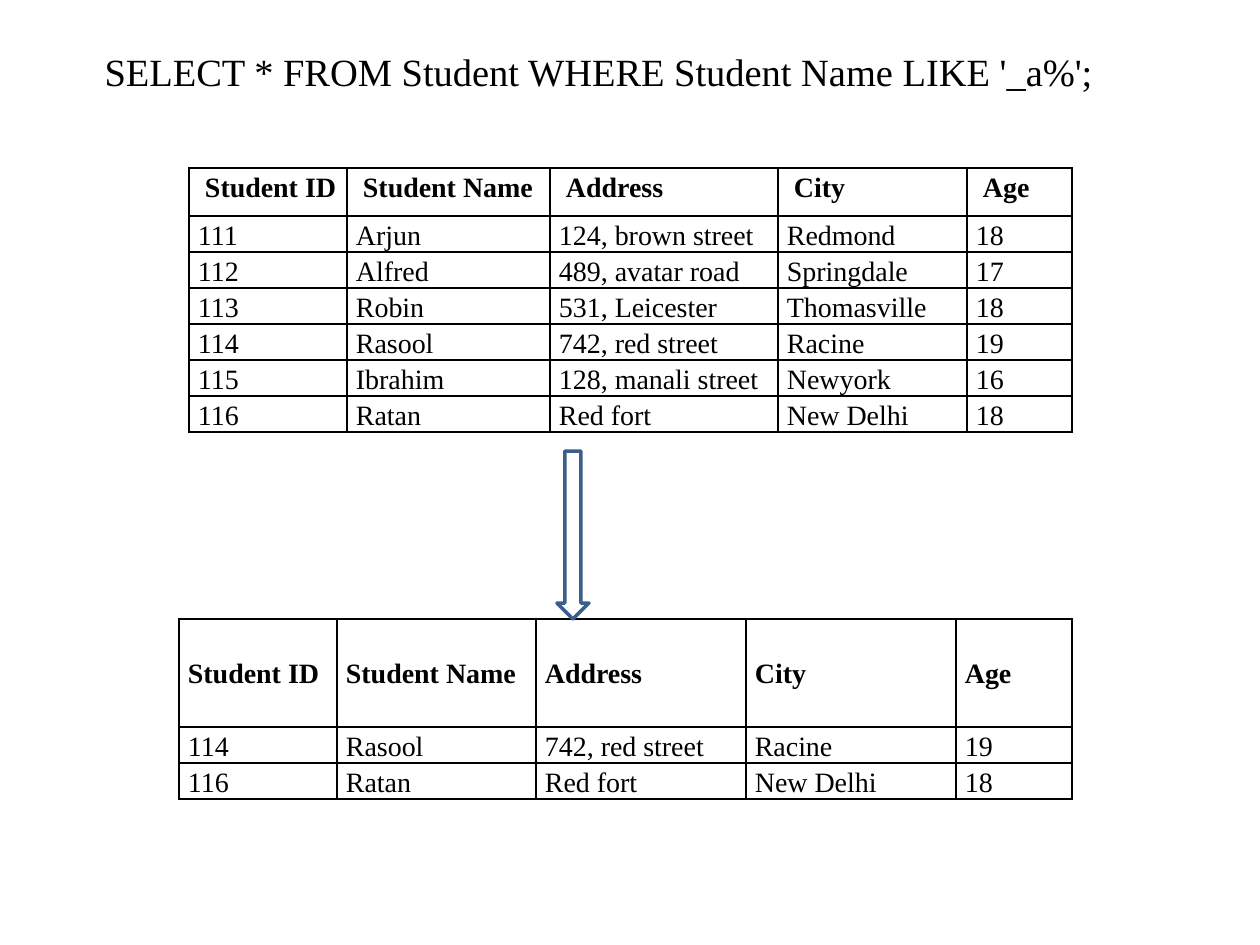
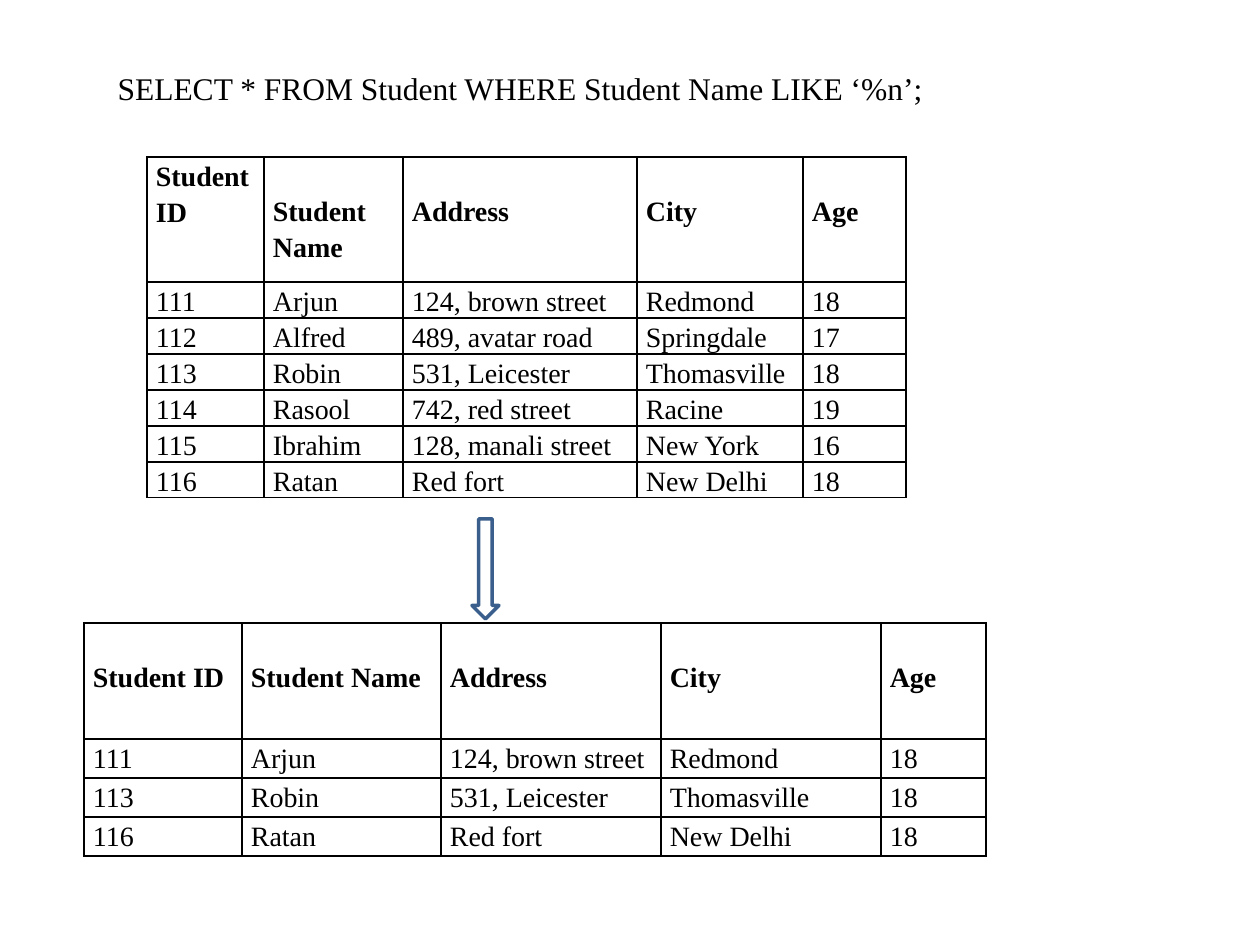
"""Builds two slides that show SQL LIKE queries with their source and result tables."""
from lxml.etree import SubElement
from pptx import Presentation
from pptx.dml.color import RGBColor
from pptx.enum.shapes import MSO_SHAPE
from pptx.enum.text import MSO_ANCHOR, PP_ALIGN
from pptx.oxml.ns import qn
from pptx.util import Emu, Pt

FONT = "Times New Roman"
BLACK = "000000"
ARROW_BLUE = "3A5F8C"
CELL_MARGIN = 9
HEADERS = ["Student ID", "Student Name", "Address", "City", "Age"]


def student_rows(city_of_ibrahim):
    return [
        ("111", "Arjun", "124, brown street", "Redmond", "18"),
        ("112", "Alfred", "489, avatar road", "Springdale", "17"),
        ("113", "Robin", "531, Leicester", "Thomasville", "18"),
        ("114", "Rasool", "742, red street", "Racine", "19"),
        ("115", "Ibrahim", "128, manali street", city_of_ibrahim, "16"),
        ("116", "Ratan", "Red fort", "New Delhi", "18"),
    ]


SLIDES = [
    {
        "query": "SELECT * FROM Student WHERE Student Name LIKE '_a%';",
        "query_box": (92, 42, 1060, 56),
        "query_size": 22,
        "students": student_rows("Newyork"),
        "matches": {"114", "116"},
        "source": {"corner": (189, 168), "columns": [158, 203, 228, 189, 105],
                   "header": 48, "row": 36, "indent": 7, "drops": [0] * 5},
        "result": {"corner": (179, 619), "columns": [158, 199, 210, 210, 116],
                   "header": 108, "row": 36, "indent": 0, "drops": [35] * 5},
        "arrow": (557, 451, 32, 168),
    },
    {
        "query": "SELECT * FROM Student WHERE Student Name LIKE ‘%n’;",
        "query_box": (105, 63, 903, 50),
        "query_size": 18,
        "students": student_rows("New York"),
        "matches": {"111", "113", "116"},
        "source": {"corner": (147, 157), "columns": [117, 139, 234, 166, 103],
                   "header": 125, "row": 36, "indent": 0, "drops": [0] + [35] * 4},
        "result": {"corner": (84, 623), "columns": [158, 199, 220, 220, 105],
                   "header": 116, "row": 39, "indent": 0, "drops": [35] * 5},
        "arrow": (472, 519, 27, 100),
    },
]


def px(length):
    return Emu(round(length * 914400 / 126))


def color(value):
    return RGBColor.from_string(value)


def add_span(para, text, size, bold=False):
    span = para.add_run()
    span.text = text
    span.font.name = FONT
    span.font.size = Pt(size)
    span.font.bold = bold
    span.font.color.rgb = color(BLACK)


def add_borders(cell):
    properties = cell._tc.get_or_add_tcPr()
    for side in ("lnL", "lnR", "lnT", "lnB"):
        line = SubElement(properties, qn(f"a:{side}"), w=str(Pt(1)))
        fill = SubElement(line, qn("a:solidFill"))
        SubElement(fill, qn("a:srgbClr"), val=BLACK)


def fill_cell(cell, text, bold=False, indent=0, drop=0):
    add_borders(cell)
    cell.fill.background()
    cell.margin_left = px(CELL_MARGIN + indent)
    cell.margin_right = px(CELL_MARGIN - indent)
    cell.margin_top = px(drop)
    cell.margin_bottom = 0
    para = cell.text_frame.paragraphs[0]
    para.line_spacing = 1.15
    add_span(para, text, 16, bold)


def add_student_table(page, layout, students):
    heights = [layout["header"]] + [layout["row"]] * len(students)
    left, top = layout["corner"]
    frame = page.shapes.add_table(len(heights), len(HEADERS), px(left), px(top),
                                  px(sum(layout["columns"])), px(sum(heights)))
    table = frame.table
    table.first_row = table.horz_banding = False
    for column, width in zip(table.columns, layout["columns"]):
        column.width = px(width)
    for row, height in zip(table.rows, heights):
        row.height = px(height)
    for index, (header, drop) in enumerate(zip(HEADERS, layout["drops"])):
        fill_cell(table.cell(0, index), header, True, layout["indent"], drop)
    for row_index, student in enumerate(students, 1):
        for index, value in enumerate(student):
            fill_cell(table.cell(row_index, index), value)


def add_query(page, text, box, size):
    title = page.shapes.title
    title.left, title.top, title.width, title.height = map(px, box)
    frame = title.text_frame
    frame.word_wrap = True
    frame.vertical_anchor = MSO_ANCHOR.TOP
    para = frame.paragraphs[0]
    para.alignment = PP_ALIGN.LEFT
    add_span(para, text, size)


def add_down_arrow(page, box):
    arrow = page.shapes.add_shape(MSO_SHAPE.DOWN_ARROW, *map(px, box))
    arrow.shadow.inherit = False
    arrow.fill.background()
    arrow.line.color.rgb = color(ARROW_BLUE)
    arrow.line.width = Pt(2)


def main():
    deck = Presentation()
    deck.slide_width, deck.slide_height = px(1260), px(945)
    for content in SLIDES:
        page = deck.slides.add_slide(deck.slide_layouts.get_by_name("Title Only"))
        students = content["students"]
        found = [student for student in students if student[0] in content["matches"]]
        add_query(page, content["query"], content["query_box"], content["query_size"])
        add_student_table(page, content["source"], students)
        add_student_table(page, content["result"], found)
        add_down_arrow(page, content["arrow"])
    deck.save("out.pptx")


if __name__ == "__main__":
    main()
